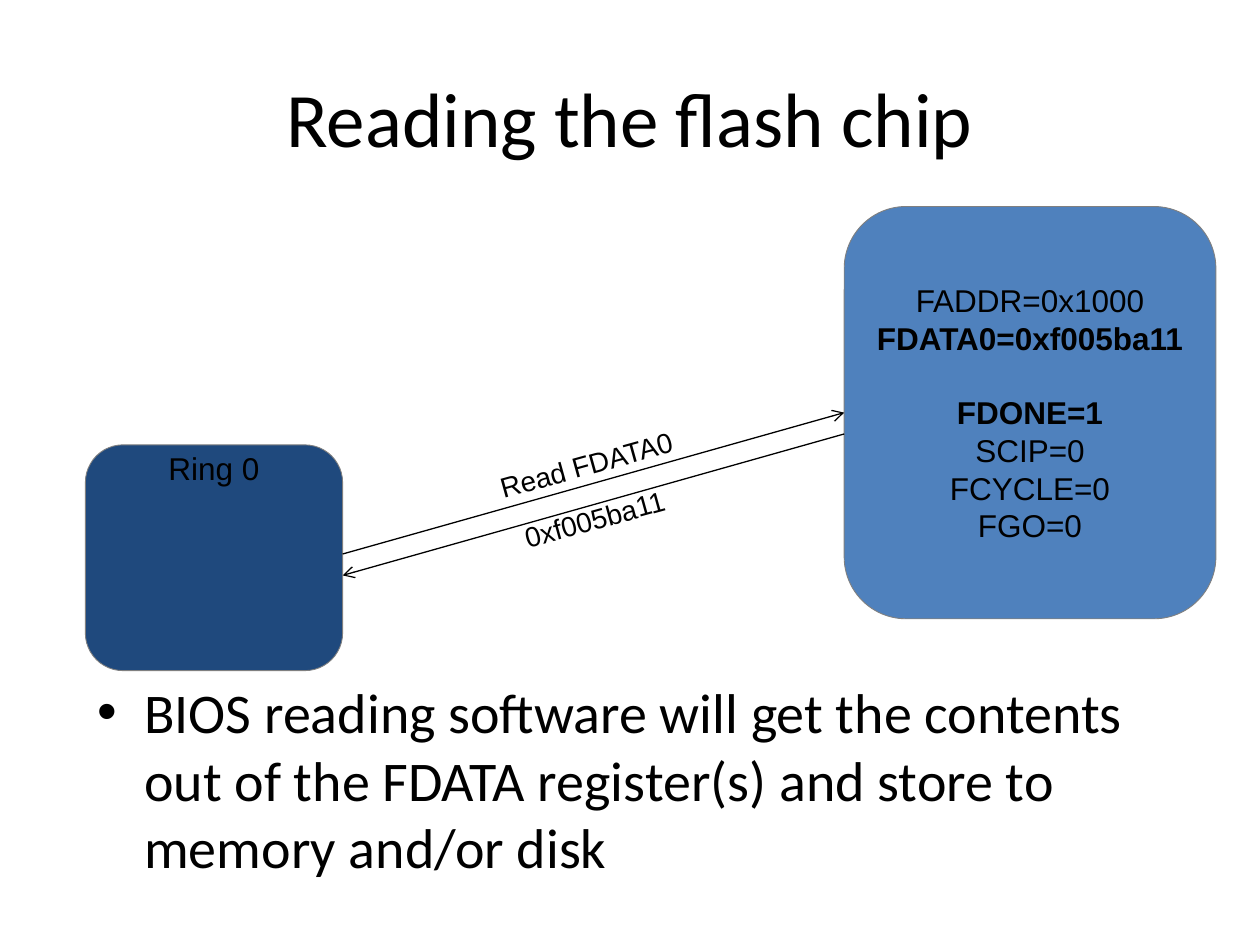
from dataclasses import dataclass

from lxml import etree
from pptx import Presentation
from pptx.dml.color import RGBColor
from pptx.enum.shapes import MSO_CONNECTOR, MSO_SHAPE
from pptx.enum.text import MSO_ANCHOR, MSO_AUTO_SIZE, PP_ALIGN
from pptx.oxml.ns import qn
from pptx.util import Pt

ROUNDED = MSO_SHAPE.ROUNDED_RECTANGLE
STRAIGHT = MSO_CONNECTOR.STRAIGHT
TOP, MIDDLE = MSO_ANCHOR.TOP, MSO_ANCHOR.MIDDLE
CENTER = PP_ALIGN.CENTER
LEFT_SIDE = 1


@dataclass(frozen=True)
class Theme:
    text: RGBColor = RGBColor(0, 0, 0)
    chip: RGBColor = RGBColor(0x4F, 0x81, 0xBD)
    ring: RGBColor = RGBColor(0x1F, 0x49, 0x7D)
    outline: RGBColor = RGBColor(0x80, 0x80, 0x80)
    heading_font: str = "Calibri"
    diagram_font: str = "Arial"
    title_size: int = 44
    body_size: int = 32
    box_size: int = 18
    label_size: int = 16


class SlideBuilder:
    def __init__(self, slide, theme):
        self.slide = slide
        self.theme = theme

    def style(self, paragraph, font_name, size, bold=False):
        font = paragraph.font
        font.name, font.size, font.bold = font_name, Pt(size), bold
        font.color.rgb = self.theme.text

    def placeholder(self, shape, text, bounds, size):
        shape.left, shape.top, shape.width, shape.height = map(Pt, bounds)
        shape.text_frame.text = text
        paragraph = shape.text_frame.paragraphs[0]
        paragraph.space_before = Pt(0)
        self.style(paragraph, self.theme.heading_font, size)

    def box(self, bounds, fill, lines, anchor=MIDDLE):
        """Add a rounded box; each line is (text, bold, space before)."""
        shape = self.slide.shapes.add_shape(ROUNDED, *map(Pt, bounds))
        shape.shadow.inherit = False
        shape.fill.solid()
        shape.fill.fore_color.rgb = fill
        shape.line.color.rgb = self.theme.outline
        shape.line.width = Pt(0.5)
        frame = shape.text_frame
        frame.vertical_anchor = anchor
        for index, (text, bold, gap) in enumerate(lines):
            paragraph = frame.add_paragraph() if index else frame.paragraphs[0]
            paragraph.text = text
            paragraph.alignment = CENTER
            if gap:
                paragraph.space_before = Pt(gap)
            self.style(paragraph, self.theme.diagram_font, self.theme.box_size, bold)
        return shape

    def arrow(self, start, end):
        connector = self.slide.shapes.add_connector(STRAIGHT, *map(Pt, start + end))
        connector.line.color.rgb = self.theme.text
        connector.line.width = Pt(0.75)
        properties = connector.line._get_or_add_ln()
        etree.SubElement(properties, qn("a:tailEnd"), type="arrow")
        etree.SubElement(properties.getparent(), qn("a:effectLst"))
        return connector

    def label(self, text, bounds, rotation):
        shape = self.slide.shapes.add_textbox(*map(Pt, bounds))
        shape.rotation = rotation
        frame = shape.text_frame
        frame.word_wrap = False
        frame.auto_size = MSO_AUTO_SIZE.SHAPE_TO_FIT_TEXT
        paragraph = frame.paragraphs[0]
        paragraph.text = text
        paragraph.space_after = Pt(6)
        self.style(paragraph, self.theme.diagram_font, self.theme.label_size)


def main():
    presentation = Presentation()
    presentation.slide_width, presentation.slide_height = Pt(720), Pt(540)
    slide = presentation.slides.add_slide(presentation.slide_layouts[1])
    theme = Theme()
    builder = SlideBuilder(slide, theme)

    builder.placeholder(slide.shapes.title, "Reading the flash chip",
                        (36, 21.6, 648, 90), theme.title_size)
    builder.placeholder(
        slide.placeholders[1],
        "BIOS reading software will get the contents out of the FDATA "
        "register(s) and store to memory and/or disk",
        (48.24, 383.76, 648, 113.76), theme.body_size)

    chip_left, chip_top, chip_width, chip_height = 482.4, 118, 212.4, 235.6
    registers = [
        ("FADDR=0x1000", False, 0),
        ("FDATA0=0xf005ba11", True, 0),
        ("FDONE=1", True, 20.7),
        ("SCIP=0", False, 0),
        ("FCYCLE=0", False, 0),
        ("FGO=0", False, 0),
    ]
    chip = builder.box((chip_left, chip_top, chip_width, chip_height),
                       theme.chip, registers)

    ring_left, ring_top, ring_width, ring_height = 48.8, 254.2, 147, 129
    ring = builder.box((ring_left, ring_top, ring_width, ring_height),
                       theme.ring, [("Ring 0", False, 0)], TOP)
    ring.text_frame.margin_top = Pt(-4)

    arrow_gap = 12.2
    ring_right, request_y = ring_left + ring_width, 316.6
    chip_middle = chip_top + chip_height / 2
    request = builder.arrow((ring_right, request_y), (chip_left, chip_middle))
    request.end_connect(chip, LEFT_SIDE)
    builder.arrow((chip_left, chip_middle + arrow_gap),
                  (ring_right, request_y + arrow_gap))

    label_tilt = -15.5
    builder.label("Read FDATA0", (277.2, 252, 117.4, 26.6), label_tilt)
    builder.label("0xf005ba11", (291.6, 283, 98, 26.6), label_tilt)

    presentation.save("out.pptx")


if __name__ == "__main__":
    main()
